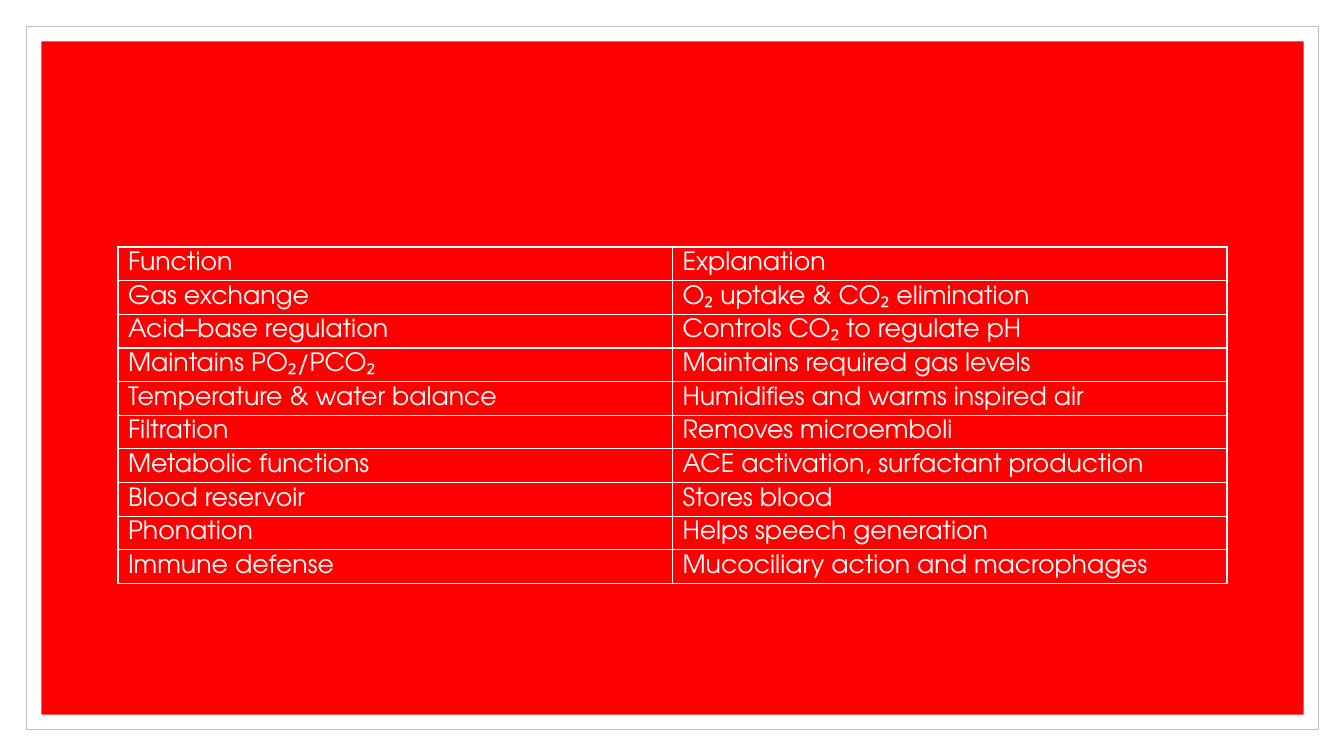
import dataclasses

import lxml.etree
import pptx
import pptx.dml.color
import pptx.enum.shapes
import pptx.enum.text
import pptx.oxml.ns
import pptx.util

Inches = pptx.util.Inches
Pt = pptx.util.Pt


@dataclasses.dataclass(frozen=True)
class Theme:
    """Hold the colours, font and sizes of the slide."""
    white: str = "FFFFFF"
    red: str = "FF0000"
    grey: str = "BFBFBF"
    font: str = "TeX Gyre Adventor"
    size: int = 18
    rule: int = 1


THEME = Theme()
ROWS = [
    ("Function", "Explanation"),
    ("Gas exchange", "O₂ uptake & CO₂ elimination"),
    ("Acid–base regulation", "Controls CO₂ to regulate pH"),
    ("Maintains PO₂/PCO₂", "Maintains required gas levels"),
    ("Temperature & water balance", "Humidifies and warms inspired air"),
    ("Filtration", "Removes microemboli"),
    ("Metabolic functions", "ACE activation, surfactant production"),
    ("Blood reservoir", "Stores blood"),
    ("Phonation", "Helps speech generation"),
    ("Immune defense", "Mucociliary action and macrophages"),
]


def color(code):
    """Turn a hex code into a colour."""
    return pptx.dml.color.RGBColor.from_string(code)


def panel(slide, box, fill, edge=None):
    """Draw a filled rectangle in the box, with a thin edge if given."""
    shape = slide.shapes.add_shape(
        pptx.enum.shapes.MSO_SHAPE.RECTANGLE, *map(Inches, box))
    shape.shadow.inherit = False
    shape.fill.solid()
    shape.fill.fore_color.rgb = color(fill)
    if edge:
        shape.line.color.rgb = color(edge)
        shape.line.width = Pt(0.5)
    else:
        shape.line.fill.background()


def frame(slide, box):
    """Draw the edged white sheet and the red panel inset in it."""
    left, top, width, height = box
    gap = 0.15
    panel(slide, box, THEME.white, THEME.grey)
    panel(slide, (left + gap, top + gap, width - 2 * gap, height - 2 * gap),
          THEME.red)


def border(cell):
    """Give a cell white rules on all four sides."""
    props = cell._tc.get_or_add_tcPr()
    qn = pptx.oxml.ns.qn
    for index, side in enumerate(("a:lnL", "a:lnR", "a:lnT", "a:lnB")):
        line = lxml.etree.Element(qn(side), w=str(Pt(THEME.rule)))
        fill = lxml.etree.SubElement(line, qn("a:solidFill"))
        lxml.etree.SubElement(fill, qn("a:srgbClr"), val=THEME.white)
        props.insert(index, line)


def write(cell, text):
    """Format one table cell and add its text."""
    cell.fill.background()
    cell.margin_left = cell.margin_right = Inches(0.1)
    cell.margin_top = cell.margin_bottom = 0
    cell.vertical_anchor = pptx.enum.text.MSO_ANCHOR.MIDDLE
    run = cell.text_frame.paragraphs[0].add_run()
    run.text = text
    run.font.name = THEME.font
    run.font.size = Pt(THEME.size)
    run.font.bold = False
    run.font.color.rgb = color(THEME.white)
    border(cell)


def grid(slide, box, rows):
    """Fill the box with a table of equal rows and columns."""
    table = slide.shapes.add_table(
        len(rows), len(rows[0]), *map(Inches, box)).table
    table.first_row = table.horz_banding = False
    for r, row in enumerate(rows):
        for c, text in enumerate(row):
            write(table.cell(r, c), text)


def main():
    """Build and save the slide."""
    deck = pptx.Presentation()
    deck.slide_width, deck.slide_height = Inches(13.33), Inches(7.5)
    slide = deck.slides.add_slide(deck.slide_layouts[6])
    frame(slide, (0.26, 0.26, 12.82, 6.98))
    grid(slide, (1.17, 2.45, 11, 3.34), ROWS)
    deck.save("out.pptx")


if __name__ == "__main__":
    main()
